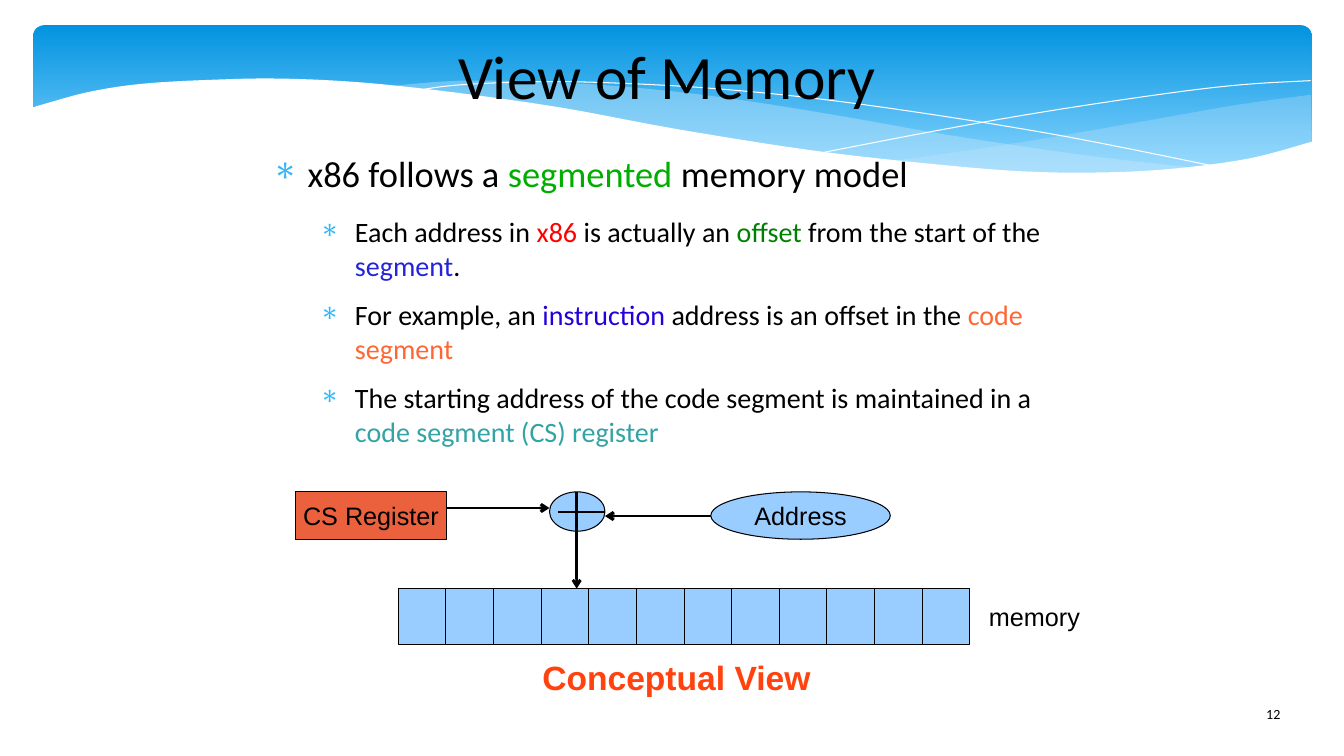
from lxml.etree import SubElement
from pptx import Presentation
from pptx.dml.color import RGBColor
from pptx.enum.shapes import MSO_CONNECTOR, MSO_SHAPE
from pptx.enum.text import MSO_ANCHOR, MSO_AUTO_SIZE, PP_ALIGN
from pptx.oxml.ns import qn
from pptx.util import Inches, Pt

BLACK, WHITE, SKY, PALE = "000000", "FFFFFF", "99CCFF", "C6E7FC"

BAND = [(8.82, 1.6), (9.76, 1.68), (10.71, 1.72), (11.51, 1.7), (12.18, 1.62), (13.01, 1.42)]
EDGE = [(13, 0.94), (12.27, 1.04), (11.47, 1.18), (10.38, 1.37), (9.41, 1.52), (8.82, 1.6)]
CREST = [(11.9, 1.67), (10.76, 1.54), (9.41, 1.34), (8.39, 1.16), (7.4, 1), (6.52, 0.89),
         (5.6, 0.82), (4.82, 0.8), (4.37, 0.81), (3.82, 0.86)]
TROUGH = [(3.82, 0.86), (4.83, 0.97), (5.99, 1.16), (7.06, 1.35), (8.02, 1.5), (9.07, 1.63),
          (9.98, 1.7), (10.76, 1.73), (11.43, 1.71), (11.9, 1.67)]
FALL = [(4.12, 0.9), (4.47, 0.85), (4.99, 0.82), (5.55, 0.81), (6.25, 0.83), (7.1, 0.88),
        (8.11, 0.98), (9.27, 1.14), (10.6, 1.36), (12.1, 1.66)]
RISE = [(8.18, 1.51), (9.27, 1.3), (10.35, 1.11), (11.55, 0.93), (12.32, 0.84), (13, 0.8)]
SWEEP = [(13.03, 1.4), (12.4, 1.57), (11.67, 1.67), (10.97, 1.71), (10.15, 1.7), (9.18, 1.62),
         (8.04, 1.49), (6.71, 1.28), (5.58, 1.07), (4.53, 0.92), (3.61, 0.82), (2.82, 0.78),
         (2.14, 0.79), (1.42, 0.83), (0.89, 0.91), (0.48, 1.02), (0.31, 1.07)]

POINTS = [
    [("x86 follows a ", BLACK), ("segmented", "00AE00"), (" memory model", BLACK)],
    [("Each address in ", BLACK), ("x86", "FF0000"), (" is actually an ", BLACK),
     ("offset", "008000"), (" from the start of the ", BLACK), ("segment", "2323DC"),
     (".", BLACK)],
    [("For example, an ", BLACK), ("instruction", "2300DC"),
     (" address is an offset in the ", BLACK), ("code segment", "FF6633")],
    [("The starting address of the code segment is maintained in a ", BLACK),
     ("code segment (CS) register", "33A3A3")],
]


def rgb(code):
    return RGBColor.from_string(code)


def smooth(keys, steps=5):
    ends = [keys[0], *keys, keys[-1]]
    curve = [keys[0]]
    for a, b, c, d in zip(ends, ends[1:], ends[2:], ends[3:]):
        for step in range(1, steps + 1):
            t = step / steps
            curve.append(tuple(
                q + t * (r - p + t * (2 * p - 5 * q + 4 * r - s + t * (3 * (q - r) + s - p))) / 2
                for p, q, r, s in zip(a, b, c, d)))
    return curve


def place(shape, x, y, w, h):
    shape.left, shape.top = Inches(x), Inches(y)
    shape.width, shape.height = Inches(w), Inches(h)


def write(par, text, *, size=18, font="Arial", color=BLACK, bold=False):
    run = par.add_run()
    run.text = text
    run.font.size, run.font.name, run.font.bold = Pt(size), font, bold
    run.font.color.rgb = rgb(color)


def frame(shape, pad=(0.1, 0.05), anchor=MSO_ANCHOR.TOP, wrap=False):
    area = shape.text_frame
    area.margin_left = area.margin_right = Inches(pad[0])
    area.margin_top = area.margin_bottom = Inches(pad[1])
    area.vertical_anchor, area.word_wrap = anchor, wrap
    area.auto_size = MSO_AUTO_SIZE.NONE
    return area


def label(slide, text, box, **style):
    shape = slide.shapes.add_textbox(*map(Inches, box))
    write(frame(shape).paragraphs[0], text, **style)


def block(slide, kind, box, color, text=""):
    shape = slide.shapes.add_shape(kind, *map(Inches, box))
    shape.shadow.inherit = False
    shape.fill.solid()
    shape.fill.fore_color.rgb = rgb(color)
    shape.line.color.rgb = rgb(BLACK)
    shape.line.width = Pt(0)
    if text:
        par = frame(shape, anchor=MSO_ANCHOR.MIDDLE).paragraphs[0]
        par.alignment = PP_ALIGN.CENTER
        write(par, text)


def wave(slide, points, fill=None, alpha=100):
    (x, y), *rest = [(Inches(x), Inches(y)) for x, y in points]
    pen = slide.shapes.build_freeform(x, y)
    pen.add_line_segments(rest, close=fill is not None)
    shape = pen.convert_to_shape()
    shape.shadow.inherit = False
    if fill is None:
        shape.fill.background()
        shape.line.color.rgb = rgb(WHITE)
        shape.line.width = Pt(0)
        return
    shape.line.fill.background()
    shape.fill.solid()
    shape.fill.fore_color.rgb = rgb(fill)
    if alpha < 100:
        tint = next(shape._element.spPr.iter(qn("a:srgbClr")))
        SubElement(tint, qn("a:alpha"), val=str(alpha * 1000))


def link(slide, start, end, arrow=False):
    line = slide.shapes.add_connector(MSO_CONNECTOR.STRAIGHT, *map(Inches, start + end))
    line.line.color.rgb = rgb(BLACK)
    line.line.width = Pt(0)
    if arrow:
        SubElement(line.line._get_or_add_ln(), qn("a:tailEnd"), type="arrow")
    SubElement(line._element.spPr, qn("a:effectLst"))


def banner(slide):
    shape = slide.shapes.add_shape(
        MSO_SHAPE.ROUNDED_RECTANGLE, *map(Inches, (0.33, 0.25, 12.68, 1.56)))
    shape.shadow.inherit = False
    shape.adjustments[0] = 0.07
    shape.line.fill.background()
    shape.fill.gradient()
    shape.fill.gradient_angle = 270
    for stop, (spot, color) in zip(shape.fill.gradient_stops, [(0, "0293E0"), (0.9, "83D3FE")]):
        stop.position, stop.color.rgb = spot, rgb(color)
    wave(slide, smooth(EDGE) + smooth(BAND), PALE, 29)
    wave(slide, smooth(CREST) + smooth(TROUGH), PALE, 40)
    wave(slide, smooth(FALL))
    wave(slide, smooth(RISE))
    wave(slide, smooth(SWEEP) + [(0.31, 2.24), (13.03, 2.24)], WHITE)


def bullet(par, level):
    par.level = level
    props = par._p.get_or_add_pPr()
    props.set("marL", str(Inches(0.47 * (level + 1))))
    props.set("indent", str(Inches(-0.35)))
    SubElement(SubElement(props, qn("a:buClr")), qn("a:srgbClr"), val="31B6FD")
    SubElement(props, qn("a:buFont"), typeface="Symbol")
    SubElement(props, qn("a:buChar"), char="∗")
    par.space_before, par.space_after = Pt(0), Pt(11.3 if level else 14.1)
    par.alignment, par.line_spacing = PP_ALIGN.LEFT, 1.0


def outline(slide):
    title, body = slide.shapes.title, slide.placeholders[1]
    place(title, 2.56, 0.23, 8.11, 1.02)
    par = frame(title, (0, 0), MSO_ANCHOR.MIDDLE, True).paragraphs[0]
    par.alignment = PP_ALIGN.CENTER
    write(par, "View of Memory", size=44, font="Calibri")
    place(body, 2.58, 1.5, 8.11, 2.99)
    area = frame(body, (0, 0), wrap=True)
    for i, parts in enumerate(POINTS):
        par = area.add_paragraph() if i else area.paragraphs[0]
        bullet(par, min(i, 1))
        for text, color in parts:
            write(par, text, size=20 if i else 26, font="Calibri", color=color)


def diagram(slide):
    step = 5.67 / 12
    for i in range(12):
        block(slide, MSO_SHAPE.RECTANGLE, (3.95 + i * step, 5.84, step, 0.55), SKY)
    label(slide, "memory", (9.71, 5.92, 1.11, 0.39))
    block(slide, MSO_SHAPE.RECTANGLE, (2.93, 4.88, 1.5, 0.47), "EB613D", "CS Register")
    block(slide, MSO_SHAPE.OVAL, (7.05, 4.88, 1.78, 0.47), SKY, "Address")
    block(slide, MSO_SHAPE.OVAL, (5.45, 4.88, 0.55, 0.39), SKY)
    link(slide, (5.53, 5.08), (6, 5.08))
    link(slide, (5.72, 4.88), (5.72, 5.25))
    link(slide, (4.43, 5.04), (5.45, 5.04), arrow=True)
    link(slide, (7.05, 5.12), (6, 5.12), arrow=True)
    link(slide, (5.72, 5.25), (5.72, 5.84), arrow=True)
    label(slide, "Conceptual View", (5.28, 6.47, 2.89, 0.49), size=24, color="FF420E", bold=True)


def main():
    deck = Presentation()
    deck.slide_width, deck.slide_height = Inches(13.33), Inches(7.5)
    slide = deck.slides.add_slide(deck.slide_layouts[1])
    banner(slide)
    tree = slide.shapes._spTree
    for holder in list(slide.placeholders):
        tree.append(holder._element)
    label(slide, "12", (12.46, 6.95, 0.82, 0.4), size=10, font="Calibri")
    outline(slide)
    diagram(slide)
    deck.save("out.pptx")


if __name__ == "__main__":
    main()
